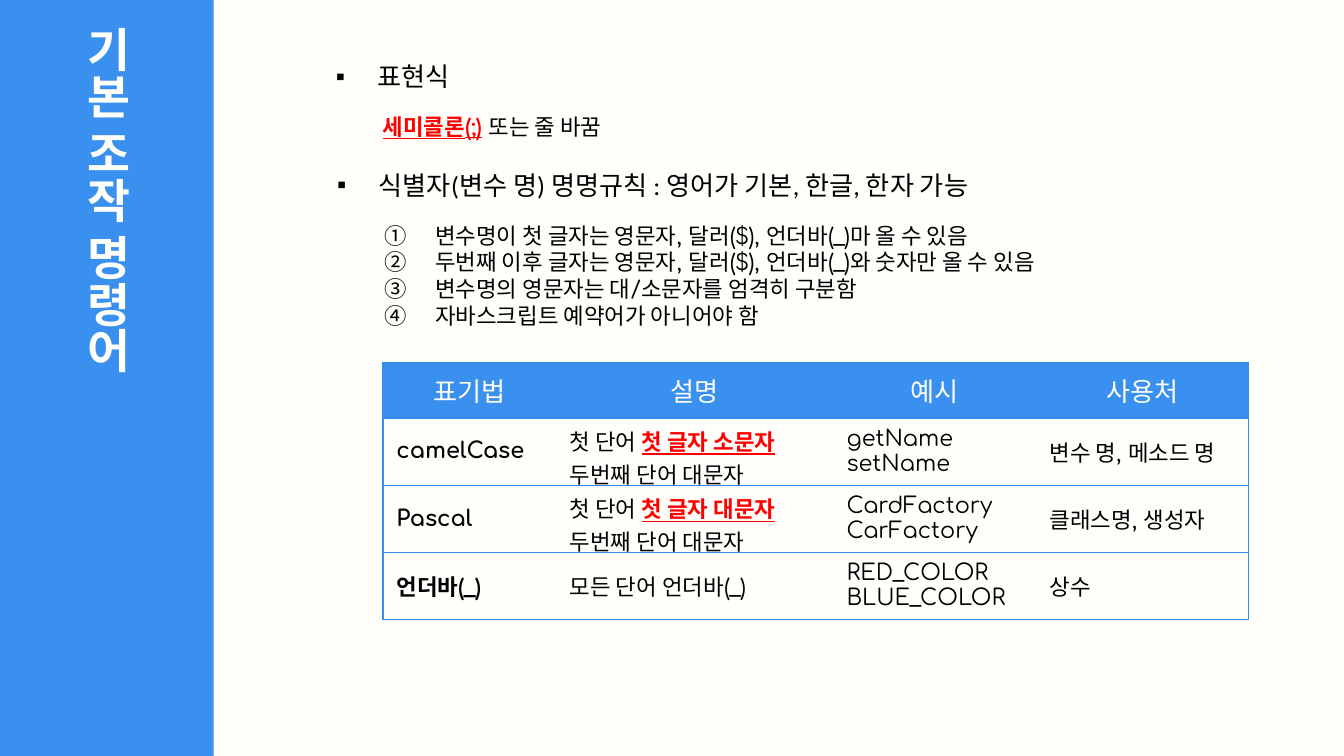
from lxml.etree import SubElement
from pptx import Presentation
from pptx.dml.color import RGBColor
from pptx.enum.shapes import MSO_SHAPE
from pptx.enum.text import MSO_ANCHOR, MSO_AUTO_SIZE, PP_ALIGN
from pptx.oxml.ns import qn
from pptx.util import Inches, Pt

COLORS = {"band": "3990EE", "rule": "338DED", "paper": "FFFEFB", "ink": "000000", "key": "FF0000"}
GRID_COLUMNS, GRID_ROWS = 100, 56.25
HEADING, BODY = ("Calibri", 14), ("Comfortaa", 12)
PLAIN_TABLE = "{2D5ABB26-0587-4C30-8999-92F81FD0307C}"

RULES = [
    "변수명이 첫 글자는 영문자, 달러($), 언더바(_)마 올 수 있음",
    "두번째 이후 글자는 영문자, 달러($), 언더바(_)와 숫자만 올 수 있음",
    "변수명의 영문자는 대/소문자를 엄격히 구분함",
    "자바스크립트 예약어가 아니어야 함",
]
HEADERS = ["표기법", "설명", "예시", "사용처"]
NOTATIONS = [
    ("camelCase", [[("첫 단어 ", "plain"), ("첫 글자 소문자", "key")], "두번째 단어 대문자"],
     ["getName", "setName"], "변수 명, 메소드 명"),
    ("Pascal", [[("첫 단어 ", "plain"), ("첫 글자 대문자", "key")], "두번째 단어 대문자"],
     ["CardFactory", "CarFactory"], "클래스명, 생성자"),
    ("언더바(_)", ["모든 단어 언더바(_)"], ["RED_COLOR", "BLUE_COLOR"], "상수"),
]


def color(name):
    return RGBColor.from_string(COLORS[name])


class SlideBuilder:
    def __init__(self, deck):
        self.width, self.height = deck.slide_width, deck.slide_height
        self.page = deck.slides.add_slide(deck.slide_layouts[5])
        self.page.background.fill.solid()
        self.page.background.fill.fore_color.rgb = color("paper")

    def across(self, columns):
        return round(self.width * columns / GRID_COLUMNS)

    def down(self, rows):
        return round(self.height * rows / GRID_ROWS)

    def area(self, left, top, width, height):
        return self.across(left), self.down(top), self.across(width), self.down(height)

    def style_span(self, span, font, ink="ink", bold=False, underline=False):
        span.font.name, span.font.size = font[0], Pt(font[1])
        span.font.color.rgb = color(ink)
        span.font.bold, span.font.underline = bold, underline

    def fill_text(self, frame, lines, font, ink="ink", bold=False, align=PP_ALIGN.LEFT):
        for index, line in enumerate(lines):
            para = frame.paragraphs[0] if index == 0 else frame.add_paragraph()
            para.alignment = align
            for text, role in [(line, "plain")] if isinstance(line, str) else line:
                span = para.add_run()
                span.text = text
                key = role == "key"
                self.style_span(span, font, "key" if key else ink, bold or key, key)

    def title(self, text, area):
        box = self.page.shapes.title
        box.left, box.top, box.width, box.height = self.area(*area)
        frame = box.text_frame
        frame.margin_left = frame.margin_right = frame.margin_top = frame.margin_bottom = Inches(0.1)
        frame.vertical_anchor = MSO_ANCHOR.MIDDLE
        box.element.find(".//" + qn("a:bodyPr")).set("vert", "eaVert")
        self.fill_text(frame, [text], ("Calibri", 25), "paper", True, PP_ALIGN.CENTER)

    def side_band(self, area):
        band = self.page.shapes.add_shape(MSO_SHAPE.RECTANGLE, *self.area(*area))
        band.shadow.inherit = False
        band.fill.solid()
        band.fill.fore_color.rgb = color("band")
        band.line.fill.background()
        self.page.shapes.title.element.addprevious(band.element)

    def text(self, lines, area, font, marker=None, indent=0):
        box = self.page.shapes.add_textbox(*self.area(*area))
        frame = box.text_frame
        frame.word_wrap = True
        frame.auto_size = MSO_AUTO_SIZE.SHAPE_TO_FIT_TEXT
        self.fill_text(frame, lines, font)
        if marker:
            for para in frame.paragraphs:
                self.mark(para, marker, self.across(indent))

    def mark(self, para, marker, indent):
        settings = para._p.get_or_add_pPr()
        settings.set("marL", str(indent))
        settings.set("indent", str(-indent))
        tint = SubElement(settings, qn("a:buClr"))
        SubElement(tint, qn("a:srgbClr"), val=COLORS["ink"])
        if len(marker) == 1:
            SubElement(settings, qn("a:buFont"), typeface="Arial")
            SubElement(settings, qn("a:buChar"), char=marker)
        else:
            SubElement(settings, qn("a:buFont"), typeface="+mj-lt")
            SubElement(settings, qn("a:buAutoNum"), type=marker)

    def border(self, cell, sides):
        settings = cell._tc.get_or_add_tcPr()
        for side in sides:
            line = SubElement(settings, qn("a:ln" + side), w=str(Pt(0.75)))
            fill = SubElement(line, qn("a:solidFill"))
            SubElement(fill, qn("a:srgbClr"), val=COLORS["rule"])

    def table(self, headers, records, area, widths, heights):
        frame = self.page.shapes.add_table(len(records) + 1, len(headers), *self.area(*area))
        grid = frame.table
        grid.first_row = grid.horz_banding = False
        frame.element.find(".//" + qn("a:tableStyleId")).text = PLAIN_TABLE
        for column, width in zip(grid.columns, widths):
            column.width = self.across(width)
        for row, height in zip(grid.rows, heights):
            row.height = self.down(height)
        last = len(headers) - 1
        for row, record in enumerate([headers, *records]):
            for column, content in enumerate(record):
                cell = grid.cell(row, column)
                cell.vertical_anchor = MSO_ANCHOR.MIDDLE
                lines = [content] if isinstance(content, str) else content
                self.border(cell, ["L"] * (column == 0) + ["R"] * (column == last) + ["T", "B"])
                if row == 0:
                    cell.fill.solid()
                    cell.fill.fore_color.rgb = color("band")
                    self.fill_text(cell.text_frame, lines, HEADING, "paper", align=PP_ALIGN.CENTER)
                else:
                    cell.fill.background()
                    self.fill_text(cell.text_frame, lines, BODY, bold=column == 0)


def main():
    deck = Presentation()
    deck.slide_width, deck.slide_height = Inches(10), Inches(5.625)
    slide = SlideBuilder(deck)
    slide.title("기본 조작 명령어", (1.5, 1, 13, 54.1))
    slide.side_band((0, 0, 15.9, GRID_ROWS))
    slide.text(["표현식"], (24, 4, 64.9, 3.4), HEADING, "▪", 3.1)
    slide.text([[("세미콜론(;)", "key"), (" 또는 줄 바꿈", "plain")]], (27.5, 7.9, 70.1, 3), BODY)
    slide.text(["식별자(변수 명) 명명규칙 : 영어가 기본, 한글, 한자 가능"],
               (24.1, 12.1, 64.9, 3.4), HEADING, "▪", 3.1)
    slide.text(RULES, (27.6, 16, 67, 9.1), BODY, "circleNumDbPlain", 3.8)
    slide.table(HEADERS, NOTATIONS, (28.5, 27, 64.4, 19.1),
                (12.9, 20.6, 15.1, 15.8), (4.1, 5, 5, 5))
    deck.save("out.pptx")


if __name__ == "__main__":
    main()
